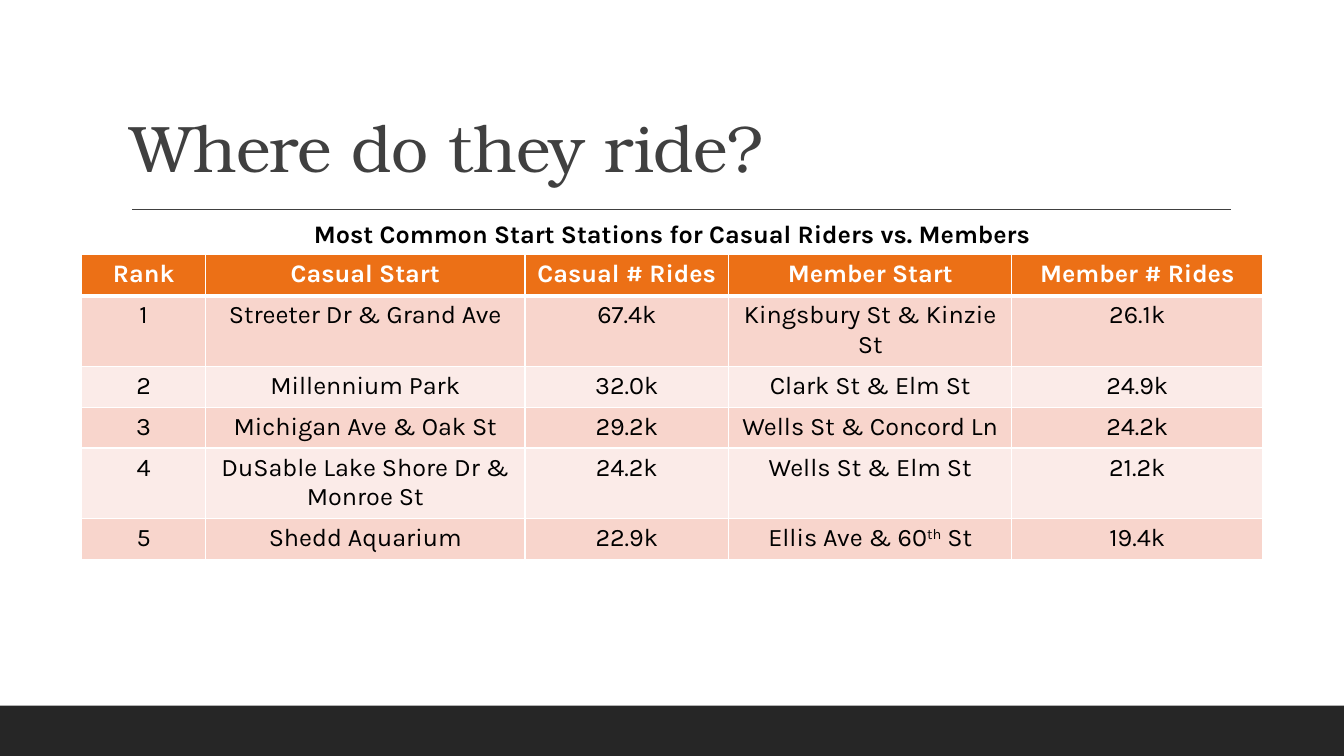
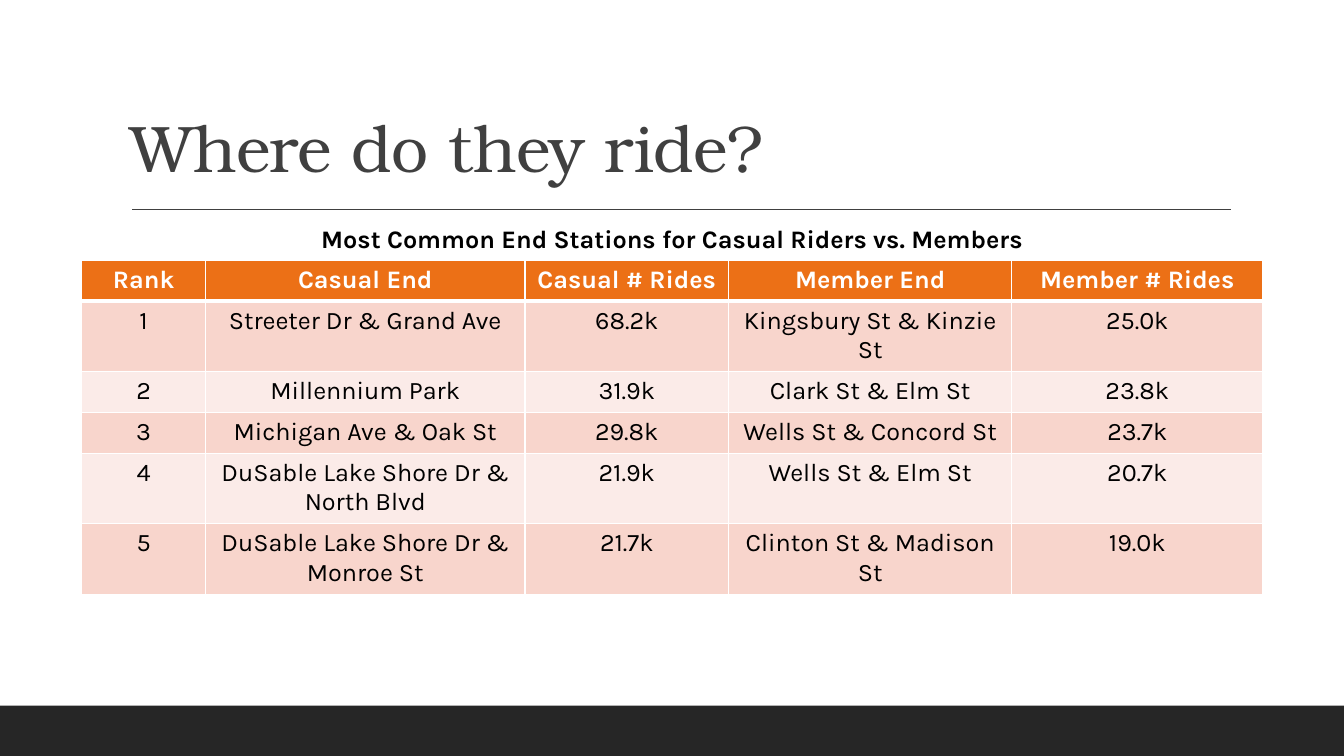
from lxml.etree import SubElement
from pptx import Presentation
from pptx.dml.color import RGBColor
from pptx.enum.shapes import MSO_CONNECTOR, MSO_SHAPE
from pptx.enum.text import MSO_ANCHOR, PP_ALIGN
from pptx.oxml.ns import qn
from pptx.util import Cm, Pt

COLOURS = {
    "band": "262626",
    "title": "404040",
    "text": "000000",
    "white": "FFFFFF",
    "header": "EC7016",
    "odd": "F8D5CC",
    "even": "FBEBE8",
}
TITLE_FONT = "TeX Gyre Bonum"
BODY_FONT = "Karla"
SLIDE_WIDTH, SLIDE_HEIGHT = 33.87, 19.05
BAND_HEIGHT = 1.27
COLUMN_WIDTHS = (3.12, 8.05, 5.13, 7.14, 6.32)
ROW_HEIGHT = 1.03

START_ROWS = (
    ("Rank", "Casual Start", "Casual # Rides", "Member Start", "Member # Rides"),
    ("1", "Streeter Dr & Grand Ave", "67.4k", "Kingsbury St & Kinzie St", "26.1k"),
    ("2", "Millennium Park", "32.0k", "Clark St & Elm St", "24.9k"),
    ("3", "Michigan Ave & Oak St", "29.2k", "Wells St & Concord Ln", "24.2k"),
    ("4", "DuSable Lake Shore Dr & Monroe St", "24.2k", "Wells St & Elm St", "21.2k"),
    ("5", "Shedd Aquarium", "22.9k", "Ellis Ave & 60^th^ St", "19.4k"),
)
END_ROWS = (
    ("Rank", "Casual End", "Casual # Rides", "Member End", "Member # Rides"),
    ("1", "Streeter Dr & Grand Ave", "68.2k", "Kingsbury St & Kinzie St", "25.0k"),
    ("2", "Millennium Park", "31.9k", "Clark St & Elm St", "23.8k"),
    ("3", "Michigan Ave & Oak St", "29.8k", "Wells St & Concord St", "23.7k"),
    ("4", "DuSable Lake Shore Dr & North Blvd", "21.9k", "Wells St & Elm St", "20.7k"),
    ("5", "DuSable Lake Shore Dr & Monroe St", "21.7k", "Clinton St & Madison St", "19.0k"),
)


def colour(name):
    """Return the named colour."""
    return RGBColor.from_string(COLOURS[name])


def write(paragraph, text, font, size, colour_name, bold=False, align=PP_ALIGN.CENTER):
    """Fill a paragraph, raising the parts of the text between carets."""
    for index, part in enumerate(text.split("^")):
        run = paragraph.add_run()
        run.text = part
        if index % 2:
            run.font._element.set("baseline", "30000")
    paragraph.alignment = align
    paragraph.font.name = font
    paragraph.font.size = Pt(size)
    paragraph.font.bold = bold
    paragraph.font.color.rgb = colour(colour_name)


def add_text_box(slide, left, top, width, height):
    """Add a wrapping text box and return its text frame."""
    frame = slide.shapes.add_textbox(Cm(left), Cm(top), Cm(width), Cm(height)).text_frame
    frame.word_wrap = True
    return frame


def add_band(slide, left, top, width, height):
    """Add the dark band at the foot of a slide."""
    band = slide.shapes.add_shape(
        MSO_SHAPE.RECTANGLE, Cm(left), Cm(top), Cm(width), Cm(height))
    band.shadow.inherit = False
    band.fill.solid()
    band.fill.fore_color.rgb = colour("band")
    band.line.fill.background()


def add_title(slide, text, left, top, width, height):
    """Add a title with the rule below it."""
    frame = add_text_box(slide, left, top, width, height)
    frame.vertical_anchor = MSO_ANCHOR.BOTTOM
    paragraph = frame.paragraphs[0]
    write(paragraph, text, TITLE_FONT, 47, "title", align=PP_ALIGN.LEFT)
    paragraph.line_spacing = 0.9
    paragraph.runs[0].font._element.set("spc", "-50")

    rule_left, rule_top = left + 0.28, top + height + 0.45
    rule = slide.shapes.add_connector(
        MSO_CONNECTOR.STRAIGHT, Cm(rule_left), Cm(rule_top),
        Cm(rule_left + 27.68), Cm(rule_top))
    rule.line.color.rgb = colour("title")
    rule.line.width = Pt(1)
    SubElement(rule._element.spPr, qn("a:effectLst"))


def add_border(cell, side, width):
    """Add a white border to one side of a cell."""
    properties = cell._tc.get_or_add_tcPr()
    line = SubElement(properties, qn(f"a:ln{side}"), w=str(Pt(width)))
    fill = SubElement(line, qn("a:solidFill"))
    SubElement(fill, qn("a:srgbClr"), val=COLOURS["white"])


def style_cell(cell, row_index, text):
    """Write a cell and give it the borders and fill of its row."""
    is_header = row_index == 0
    top_width = 3 if row_index == 1 else 1
    bottom_width = 3 if is_header else 1
    for side, width in zip("LRTB", (1, 1, top_width, bottom_width)):
        add_border(cell, side, width)
    cell.fill.solid()
    fill_name = "header" if is_header else "odd" if row_index % 2 else "even"
    cell.fill.fore_color.rgb = colour(fill_name)
    write(cell.text_frame.paragraphs[0], text, BODY_FONT, 18,
          "white" if is_header else "text", bold=is_header)


def add_station_table(slide, caption, rows, left, top):
    """Add a caption with the ranking table below it."""
    frame = add_text_box(slide, left + 5.28, top, 19.2, 1.03)
    write(frame.paragraphs[0], caption, BODY_FONT, 18, "text", bold=True)

    table = slide.shapes.add_table(
        len(rows), len(COLUMN_WIDTHS), Cm(left), Cm(top + 1.04),
        Cm(sum(COLUMN_WIDTHS)), Cm(ROW_HEIGHT * len(rows))).table
    for column, width in zip(table.columns, COLUMN_WIDTHS):
        column.width = Cm(width)
    for row_index, texts in enumerate(rows):
        table.rows[row_index].height = Cm(ROW_HEIGHT)
        for column_index, text in enumerate(texts):
            style_cell(table.cell(row_index, column_index), row_index, text)


def add_station_slide(presentation, caption, rows, table_top):
    """Add one slide with its band, title and table."""
    slide = presentation.slides.add_slide(presentation.slide_layouts[6])
    add_band(slide, 0, SLIDE_HEIGHT - BAND_HEIGHT, SLIDE_WIDTH, BAND_HEIGHT)
    add_title(slide, "Where do they ride?", 3.05, 0.79, 27.94, 4.04)
    add_station_table(slide, caption, rows, 2.06, table_top)


def main():
    """Build and save the presentation."""
    presentation = Presentation()
    presentation.slide_width = Cm(SLIDE_WIDTH)
    presentation.slide_height = Cm(SLIDE_HEIGHT)
    add_station_slide(
        presentation, "Most Common Start Stations for Casual Riders vs. Members",
        START_ROWS, 5.38)
    add_station_slide(
        presentation, "Most Common End Stations for Casual Riders vs. Members",
        END_ROWS, 5.51)
    presentation.save("out.pptx")


if __name__ == "__main__":
    main()
